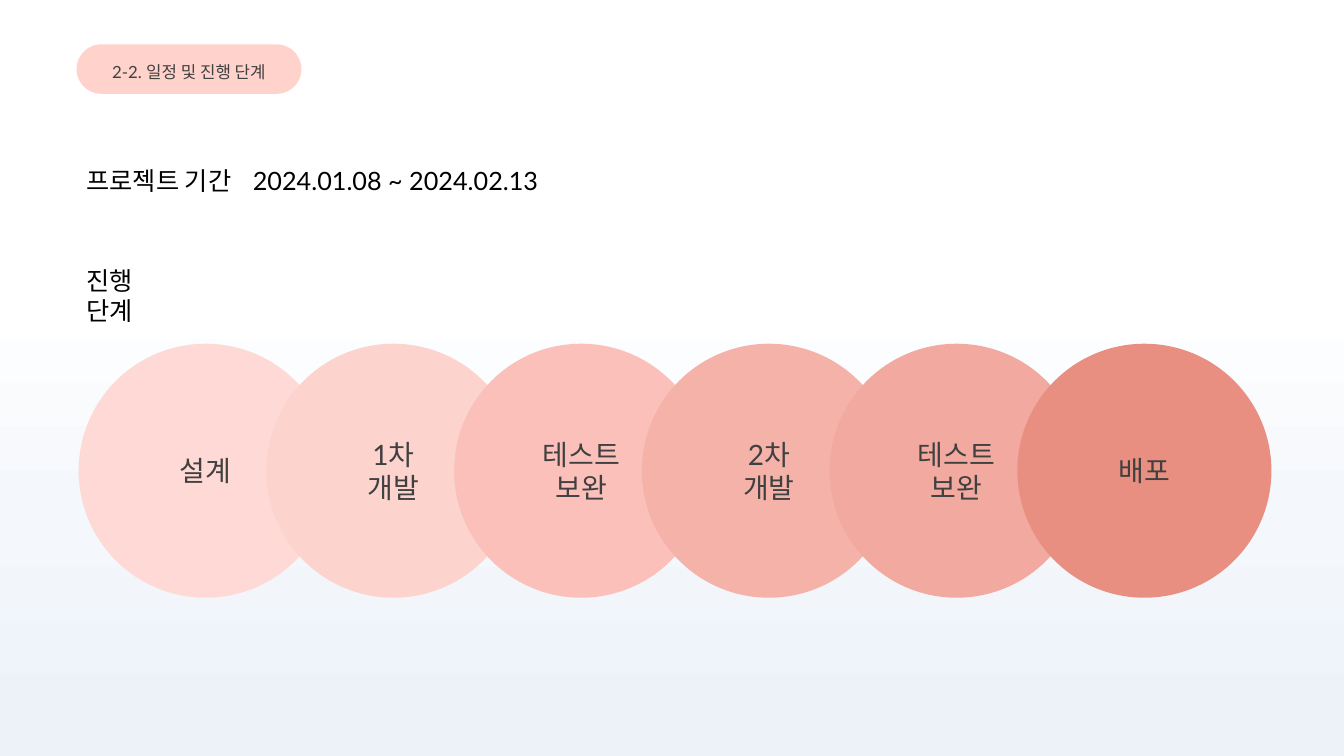
"""Build the schedule and progress-stage slide."""
from copy import deepcopy

from lxml.etree import SubElement
from pptx import Presentation
from pptx.dml.color import RGBColor
from pptx.enum.shapes import MSO_SHAPE
from pptx.enum.text import MSO_ANCHOR, MSO_AUTO_SIZE, PP_ALIGN
from pptx.oxml.ns import qn
from pptx.util import Inches, Pt

BLACK = RGBColor(0x00, 0x00, 0x00)
CHARCOAL = RGBColor(0x40, 0x40, 0x40)
PILL_PINK = RGBColor(0xFF, 0xD2, 0xCB)

SECTION = "2-2. 일정 및 진행 단계"
PERIOD = "프로젝트 기간\t2024.01.08 ~ 2024.02.13"
STAGES_HEADING = "진행 단계"
STAGES = [
    ("설계", RGBColor(0xFE, 0xD9, 0xD5)),
    ("1차\n개발", RGBColor(0xFD, 0xD3, 0xCE)),
    ("테스트\n보완", RGBColor(0xFA, 0xC0, 0xB9)),
    ("2차\n개발", RGBColor(0xF5, 0xB2, 0xA9)),
    ("테스트\n보완", RGBColor(0xF2, 0xA9, 0x9F)),
    ("배포", RGBColor(0xE9, 0x8F, 0x81)),
]
BACKDROP = [
    (0.39, RGBColor(0xFF, 0xFF, 0xFF)),
    (0.68, RGBColor(0xF4, 0xF7, 0xFB)),
    (0.96, RGBColor(0xED, 0xF2, 0xF9)),
]

FIRST_LEFT, LAST_LEFT = 0.78, 10.09
STAGE_TOP, STAGE_SIZE = 3.41, 2.52
PERIOD_TAB = 1.65


def write(holder, text, size, color, align):
    frame = holder.text_frame
    frame.word_wrap = True
    frame.text = text
    font_format = {"name": "Lato", "size": Pt(size)}
    for paragraph in frame.paragraphs:
        paragraph.alignment = align
        for run in paragraph.runs:
            for key, value in font_format.items():
                setattr(run.font, key, value)
            run.font.color.rgb = color
    return frame


def add_label(shapes, box, text, size, color, align=PP_ALIGN.LEFT):
    label = shapes.add_textbox(*map(Inches, box))
    frame = write(label, text, size, color, align)
    frame.auto_size = MSO_AUTO_SIZE.SHAPE_TO_FIT_TEXT
    return frame


def add_filled(shapes, preset, box, color):
    filled = shapes.add_shape(preset, *map(Inches, box))
    filled.shadow.inherit = False
    filled.fill.solid()
    filled.fill.fore_color.rgb = color
    filled.line.fill.background()
    return filled


def paint_backdrop(slide):
    fill = slide.background.fill
    fill.gradient()
    fill.gradient_angle = 270
    first_stop = next(slide.element.iter(qn("a:gs")))
    first_stop.addnext(deepcopy(first_stop))
    for stop, (position, color) in zip(fill.gradient_stops, BACKDROP):
        stop.position = position
        stop.color.rgb = color


def main():
    deck = Presentation()
    deck.slide_width, deck.slide_height = Inches(13.33), Inches(7.5)
    slide = deck.slides.add_slide(deck.slide_layouts[6])
    paint_backdrop(slide)

    section = slide.shapes.add_group_shape().shapes
    pill = add_filled(section, MSO_SHAPE.ROUNDED_RECTANGLE,
                      (0.76, 0.44, 2.23, 0.49), PILL_PINK)
    pill.adjustments[0] = 0.5
    add_label(section, (0.76, 0.56, 2.23, 0.3), SECTION, 12, CHARCOAL,
              PP_ALIGN.CENTER)

    period = add_label(slide.shapes, (0.76, 1.59, 4.8, 0.4), PERIOD, 18, BLACK)
    properties = period.paragraphs[0]._p.get_or_add_pPr()
    tabs = SubElement(properties, qn("a:tabLst"))
    SubElement(tabs, qn("a:tab"), pos=str(Inches(PERIOD_TAB)), algn="l")
    add_label(slide.shapes, (0.76, 2.58, 1.16, 0.4), STAGES_HEADING, 18, BLACK)

    step = (LAST_LEFT - FIRST_LEFT) / (len(STAGES) - 1)
    for index, (stage, color) in enumerate(STAGES):
        box = (FIRST_LEFT + index * step, STAGE_TOP, STAGE_SIZE, STAGE_SIZE)
        circle = add_filled(slide.shapes, MSO_SHAPE.OVAL, box, color)
        frame = write(circle, stage, 20, CHARCOAL, PP_ALIGN.CENTER)
        frame.vertical_anchor = MSO_ANCHOR.MIDDLE

    deck.save("out.pptx")


if __name__ == "__main__":
    main()
